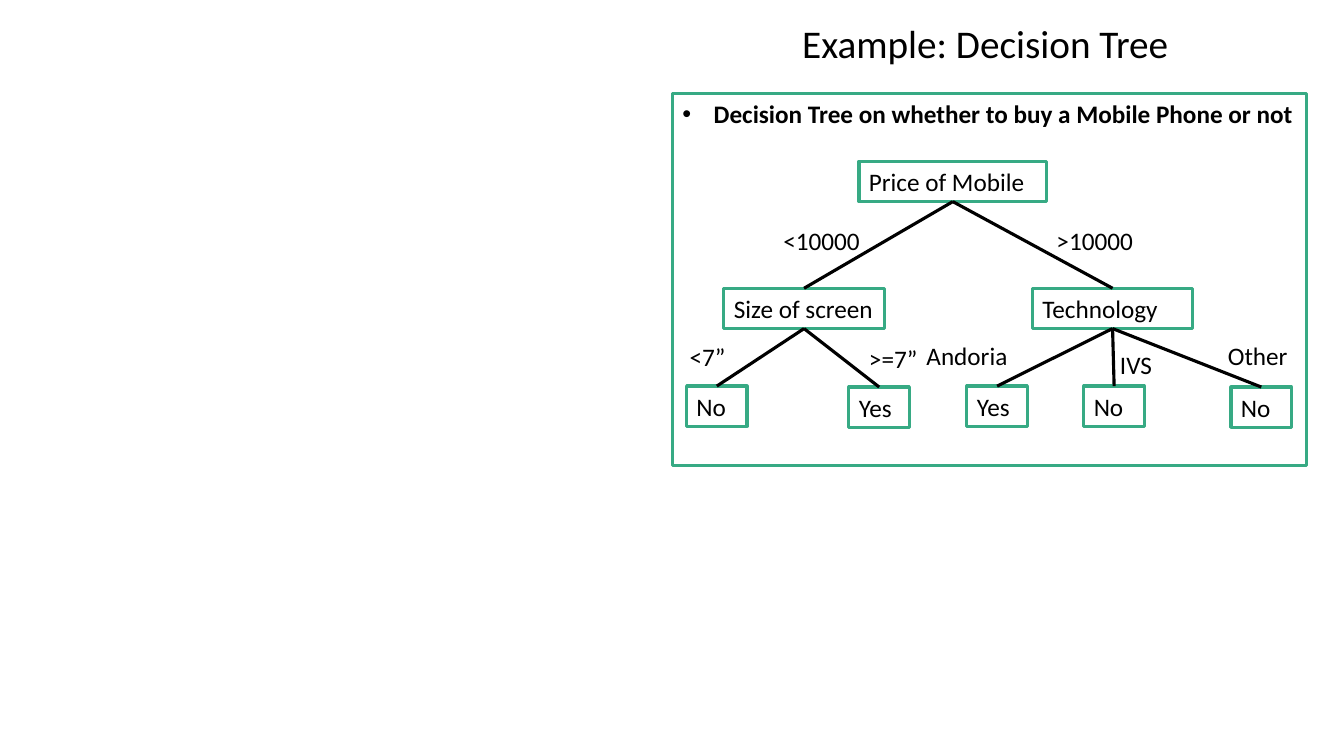
"""Build a slide that shows a decision tree for buying a mobile phone."""
from dataclasses import dataclass

from lxml import etree
from pptx import Presentation
from pptx.dml.color import RGBColor
from pptx.enum.shapes import MSO_CONNECTOR, MSO_SHAPE
from pptx.enum.text import MSO_ANCHOR, MSO_AUTO_SIZE, PP_ALIGN
from pptx.oxml.ns import qn
from pptx.util import Pt

PX = 9144
RECTANGLE = MSO_SHAPE.RECTANGLE
STRAIGHT = MSO_CONNECTOR.STRAIGHT
TOP, MIDDLE = MSO_ANCHOR.TOP, MSO_ANCHOR.MIDDLE
LEFT, CENTER = PP_ALIGN.LEFT, PP_ALIGN.CENTER
GROW = MSO_AUTO_SIZE.SHAPE_TO_FIT_TEXT
SITE_TOP, SITE_BOTTOM = 0, 2
COLORS = {"text": "000000", "border": "37AA84", "edge": "000000"}
FONT = "Calibri"
LINE_WIDTH = Pt(2.25)
ROW_HEIGHT = 40
LEAF_WIDTH = 60
BULLET_INDENT = 31


@dataclass(frozen=True)
class Node:
    key: str
    text: str
    left: int
    top: int
    width: int = LEAF_WIDTH
    parent: str = ""


@dataclass(frozen=True)
class Label:
    text: str
    left: int
    top: int
    width: int


NODES = [
    Node("price", "Price of Mobile", 852, 160, 186),
    Node("size", "Size of screen", 718, 286, 159, "price"),
    Node("technology", "Technology", 1024, 286, 159, "price"),
    Node("small", "No", 681, 383, parent="size"),
    Node("large", "Yes", 842, 384, parent="size"),
    Node("first system", "Yes", 959, 383, parent="technology"),
    Node("second system", "No", 1075, 383, parent="technology"),
    Node("other system", "No", 1221, 384, parent="technology"),
]
LABELS = [
    Label("<10000", 767, 219, 122),
    Label(">10000", 1038, 219, 122),
    Label("<7”", 674, 334, 71),
    Label(">=7”", 852, 336, 71),
    Label("Andoria", 909, 333, 109),
    Label("IVS", 1101, 342, 64),
    Label("Other", 1208, 333, 81),
]


def color(name: str) -> RGBColor:
    return RGBColor.from_string(COLORS[name])


def box(left: int, top: int, width: int, height: int) -> list[int]:
    return [value * PX for value in (left, top, width, height)]


def write(shape, text: str, size: int = 18, bold: bool = False,
          align=LEFT, anchor=TOP):
    frame = shape.text_frame
    frame.word_wrap = True
    frame.vertical_anchor = anchor
    frame.text = text
    paragraph = frame.paragraphs[0]
    paragraph.alignment = align
    font = paragraph.font
    font.name, font.size, font.bold = FONT, Pt(size), bold
    font.color.rgb = color("text")
    return paragraph


def add_outline(slide, left: int, top: int, width: int, height: int):
    shape = slide.shapes.add_shape(RECTANGLE, *box(left, top, width, height))
    shape.shadow.inherit = False
    shape.fill.background()
    shape.line.color.rgb = color("border")
    shape.line.width = LINE_WIDTH
    return shape


def add_title(slide) -> None:
    title = slide.shapes.title
    title.left, title.top, title.width, title.height = box(667, 15, 629, 61)
    paragraph = write(title, "Example: Decision Tree ", 28, align=CENTER, anchor=MIDDLE)
    paragraph.line_spacing = 0.9


def add_frame(slide) -> None:
    frame = add_outline(slide, 667, 93, 629, 369)
    paragraph = write(frame, "Decision Tree on whether to buy a Mobile Phone or not", bold=True)
    properties = paragraph._p.get_or_add_pPr()
    properties.set("marL", str(BULLET_INDENT * PX))
    properties.set("indent", str(-BULLET_INDENT * PX))
    bullet_font = etree.Element(qn("a:buFont"), typeface="Arial")
    bullet = etree.Element(qn("a:buChar"), char="•")
    defaults = properties.find(qn("a:defRPr"))
    defaults.addprevious(bullet_font)
    defaults.addprevious(bullet)


def add_node(slide, node: Node):
    shape = add_outline(slide, node.left, node.top, node.width, ROW_HEIGHT)
    write(shape, node.text)
    shape.text_frame.auto_size = GROW
    return shape


def add_edge(slide, parent, child) -> None:
    edge = slide.shapes.add_connector(STRAIGHT, 0, 0, 0, 0)
    edge.begin_connect(parent, SITE_BOTTOM)
    edge.end_connect(child, SITE_TOP)
    edge.line.color.rgb = color("edge")
    edge.line.width = LINE_WIDTH
    etree.SubElement(edge._element.spPr, qn("a:effectLst"))


def add_label(slide, label: Label) -> None:
    shape = slide.shapes.add_textbox(*box(label.left, label.top, label.width, ROW_HEIGHT))
    write(shape, label.text)
    shape.text_frame.auto_size = GROW


def main() -> None:
    presentation = Presentation()
    presentation.slide_width = 1333 * PX
    presentation.slide_height = 750 * PX
    slide = presentation.slides.add_slide(presentation.slide_layouts.get_by_name("Title Only"))
    add_title(slide)
    add_frame(slide)
    shapes = {node.key: add_node(slide, node) for node in NODES}
    for node in NODES:
        if node.parent:
            add_edge(slide, shapes[node.parent], shapes[node.key])
    for label in LABELS:
        add_label(slide, label)
    presentation.save("out.pptx")


if __name__ == "__main__":
    main()
